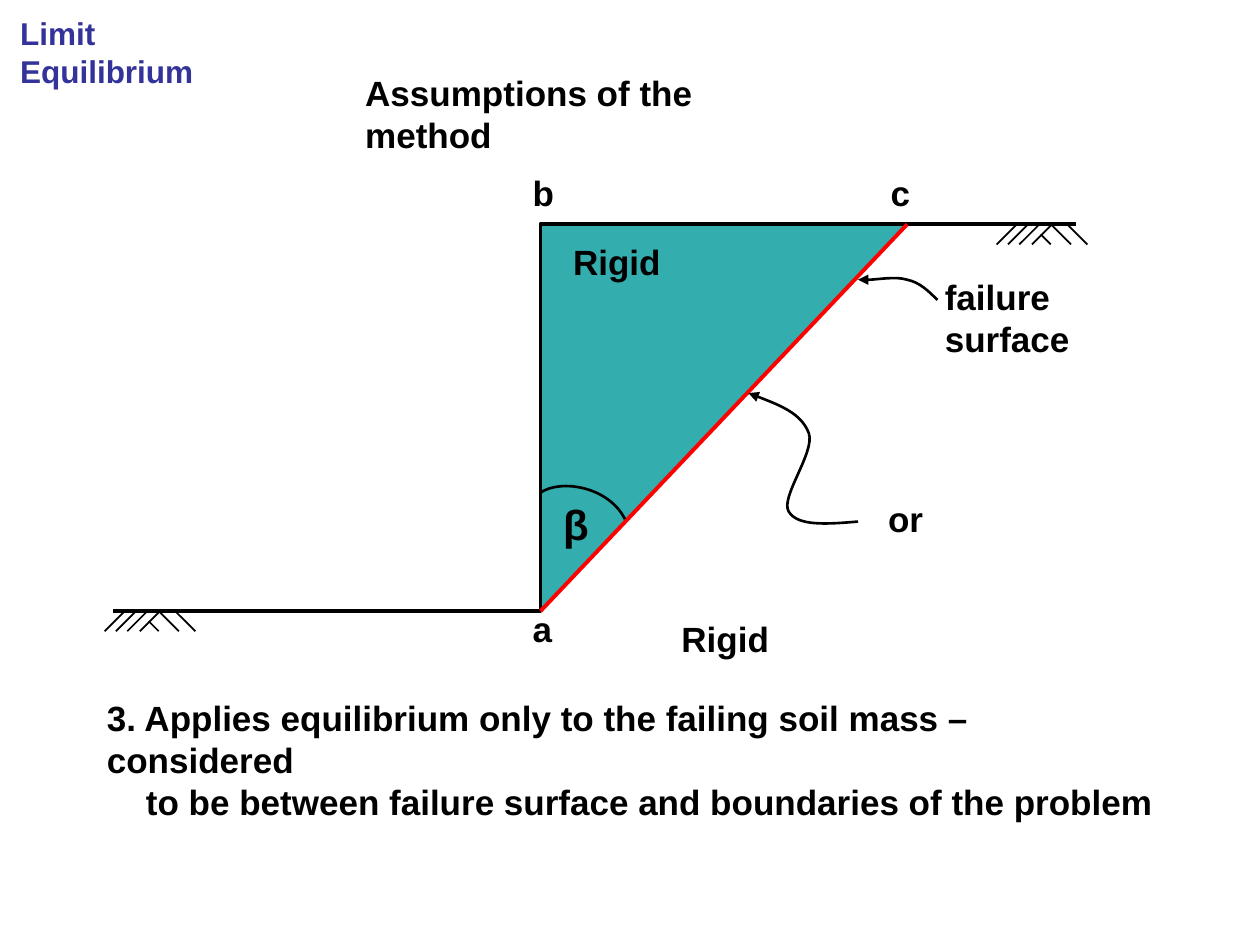
from dataclasses import dataclass

from lxml import etree
from pptx import Presentation
from pptx.dml.color import RGBColor
from pptx.enum.shapes import MSO_CONNECTOR
from pptx.enum.text import MSO_ANCHOR, MSO_AUTO_SIZE, PP_ALIGN
from pptx.oxml.ns import qn
from pptx.util import Inches, Pt

STRAIGHT = MSO_CONNECTOR.STRAIGHT
TOP, LEFT, NO_FIT = MSO_ANCHOR.TOP, PP_ALIGN.LEFT, MSO_AUTO_SIZE.NONE
COLUMNS, ROWS = 100, 75  # square grid cells over the whole slide
CELL = Inches(0.1)
Point = tuple[float, float]


@dataclass(frozen=True)
class Theme:
    font: str = "Arial"
    ink: str = "000000"
    heading: str = "333399"
    soil: str = "009999"
    failure: str = "FF0000"
    soil_opacity: int = 80
    heading_size: int = 18
    body_size: int = 20
    symbol_size: int = 24
    thin: float = 0.75
    hatch: float = 1
    curve: float = 1.5
    thick: float = 2.25


@dataclass(frozen=True)
class Label:
    text: str
    column: float
    row: float
    width: float
    height: float = 4.3
    size: int = Theme.body_size
    wrap: bool = False
    indent: float = 0  # of the paragraphs after the first


THEME = Theme()

# Corners of the cut and ends of the ground surface
A, B, C = (42.9, 48.5), (42.9, 17.8), (72, 17.8)
GROUND = [(85.4, 17.8), B, A, (9, 48.5)]

# Ground hatching: strokes relative to the left end of the symbol
DEPTH = 1.6
HATCH = [((x, 0), (x - DEPTH, DEPTH)) for x in (1.6, 2.5, 3.4, 4.4)] + [
    ((x, y), (x + DEPTH - y, DEPTH)) for x, y in ((3.5, 0.8), (4.3, 0), (5.6, 0))
]
HATCH_ORIGINS = [(79.1, 17.8), (8.3, 48.5)]

# Bezier curves: a start, then three points for each segment
ANGLE_ARC = [(42.9, 39.1), (44.5, 38), (48.3, 38.6), (49.6, 41.2)]
POINTERS = [
    [(68.1, 22.2), (68.2, 22.2), (68.2, 22.2), (68.9, 22.2), (69.6, 22.2),
     (71.1, 21.9), (72, 22.2), (73, 22.4), (73.7, 23.1), (74.4, 23.8)],
    [(59.4, 31.2), (61.5, 32), (63.6, 32.8), (64.2, 34.4), (64.7, 35.9),
     (61.9, 39.5), (62.6, 40.6), (63.3, 41.8), (65.7, 41.6), (68.1, 41.4)],
]

TITLE = Label("Limit Equilibrium", 0.6, 0.6, 22.4, 4, THEME.heading_size)
LABELS = [
    Label("3. Applies equilibrium only to the failing soil mass – considered\n"
          "to be between failure surface and boundaries of the problem",
          7.5, 54.8, 85.6, 7.7, wrap=True, indent=3.1),
    Label("Assumptions of the method", 28, 5.2, 38.4, wrap=True),
    Label("a", 41.3, 47.7, 3.6),
    Label("b", 41.3, 13.1, 3.7),
    Label("c", 69.7, 13.1, 3.6),
    Label("failure surface", 74, 21.4, 20.5, wrap=True),
    Label("β", 43.7, 39.1, 3.8, 5, THEME.symbol_size),
    Label("or", 69.5, 39, 4.8),
    Label("Rigid", 44.5, 18.6, 9),
    Label("Rigid", 53.1, 48.5, 9),
]


def cells(count: float) -> int:
    return round(count * CELL)


def write(frame, text: str, *, size: int, color: str, wrap: bool, indent: float) -> None:
    """Fill a text frame with bold, left-aligned paragraphs."""
    frame.word_wrap, frame.auto_size, frame.vertical_anchor = wrap, NO_FIT, TOP
    for index, line in enumerate(text.split("\n")):
        para = frame.add_paragraph() if index else frame.paragraphs[0]
        para.alignment = LEFT
        if index and indent:
            para._p.get_or_add_pPr().set("marL", str(cells(indent)))
        span = para.add_run()
        span.text = line
        span.font.name, span.font.size, span.font.bold = THEME.font, Pt(size), True
        span.font.color.rgb = RGBColor.from_string(color)


def place_label(box, label: Label, color: str = THEME.ink) -> None:
    box.left, box.top = cells(label.column), cells(label.row)
    box.width, box.height = cells(label.width), cells(label.height)
    write(box.text_frame, label.text, size=label.size, color=color,
          wrap=label.wrap, indent=label.indent)


def style_line(shape, color: str, weight: float) -> None:
    shape.line.color.rgb = RGBColor.from_string(color)
    shape.line.width = Pt(weight)


def draw_outline(page, points: list[Point], weight: float, closed: bool = False):
    """Draw an unfilled path through the points."""
    start, *rest = [(cells(x), cells(y)) for x, y in points]
    builder = page.shapes.build_freeform(*start)
    builder.add_line_segments(rest, close=closed)
    shape = builder.convert_to_shape()
    shape.shadow.inherit = False
    shape.fill.background()
    style_line(shape, THEME.ink, weight)
    return shape


def draw_curve(page, points: list[Point], arrow: bool = False) -> None:
    """Draw a path, then join each three of its segments into a Bezier curve."""
    shape = draw_outline(page, points, THEME.curve)
    segments = list(shape._element.iter(qn("a:lnTo")))
    for first in range(0, len(segments), 3):
        bezier = etree.Element(qn("a:cubicBezTo"))
        segments[first].addprevious(bezier)
        for segment in segments[first:first + 3]:
            bezier.append(segment[0])
            segment.getparent().remove(segment)
    if arrow:
        line = shape.line._get_or_add_ln()
        etree.SubElement(line, qn("a:headEnd"), type="triangle")


def draw_line(page, start: Point, end: Point, color: str, weight: float) -> None:
    line = page.shapes.add_connector(STRAIGHT, *map(cells, (*start, *end)))
    style_line(line, color, weight)
    etree.SubElement(line._element.spPr, qn("a:effectLst"))


def draw_wedge(page) -> None:
    wedge = draw_outline(page, [B, A, C], THEME.thin, closed=True)
    wedge.fill.solid()
    wedge.fill.fore_color.rgb = RGBColor.from_string(THEME.soil)
    color = wedge._element.spPr.find(qn("a:solidFill"))[0]
    etree.SubElement(color, qn("a:alpha"), val=str(THEME.soil_opacity * 1000))


def main() -> None:
    deck = Presentation()
    deck.slide_width, deck.slide_height = cells(COLUMNS), cells(ROWS)
    page = deck.slides.add_slide(deck.slide_layouts[5])
    place_label(page.shapes.title, TITLE, THEME.heading)

    # Soil wedge, ground surface and failure surface
    draw_wedge(page)
    draw_outline(page, GROUND, THEME.thick)
    for left, top in HATCH_ORIGINS:
        for (x1, y1), (x2, y2) in HATCH:
            draw_line(page, (left + x1, top + y1), (left + x2, top + y2),
                      THEME.ink, THEME.hatch)
    draw_line(page, A, C, THEME.failure, THEME.thick)

    # Angle and pointers to the failure surface
    draw_curve(page, ANGLE_ARC)
    for pointer in POINTERS:
        draw_curve(page, pointer, arrow=True)

    # Labels and statement
    for label in LABELS:
        place_label(page.shapes.add_textbox(0, 0, 0, 0), label)

    deck.save("out.pptx")


if __name__ == "__main__":
    main()
